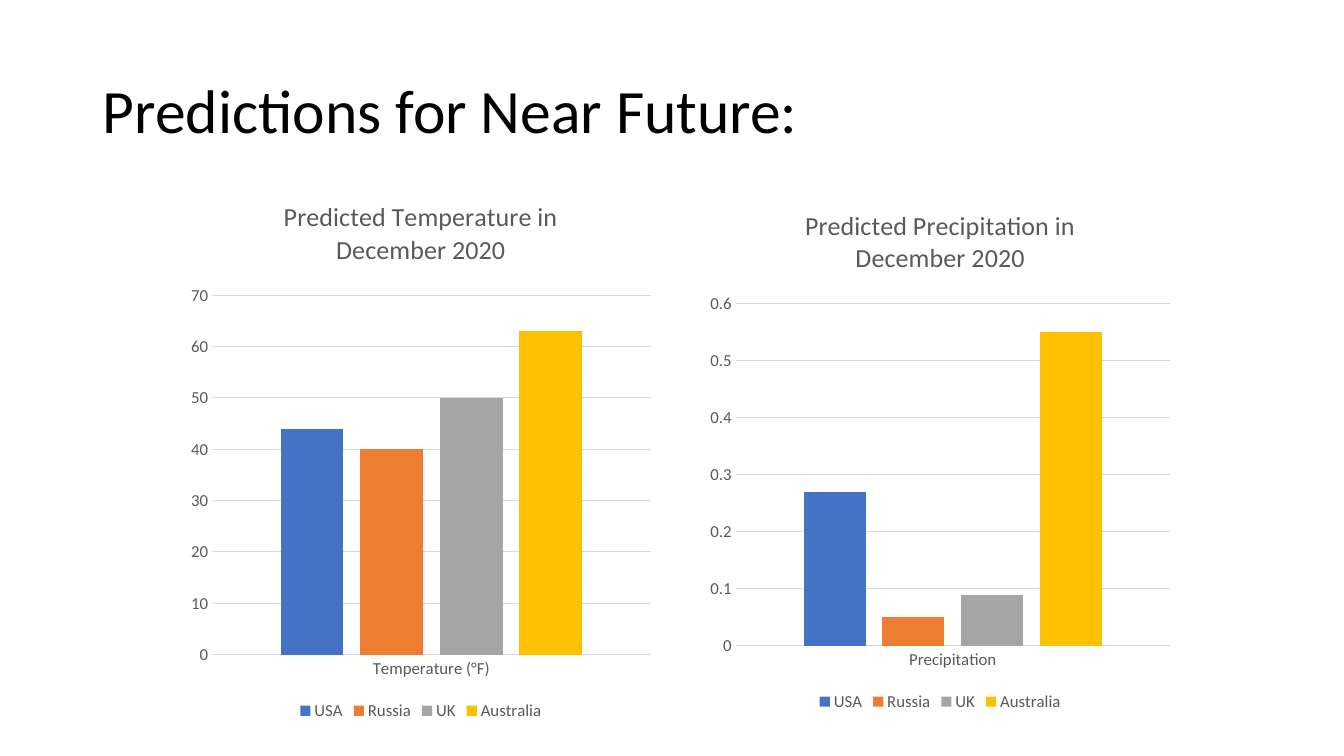
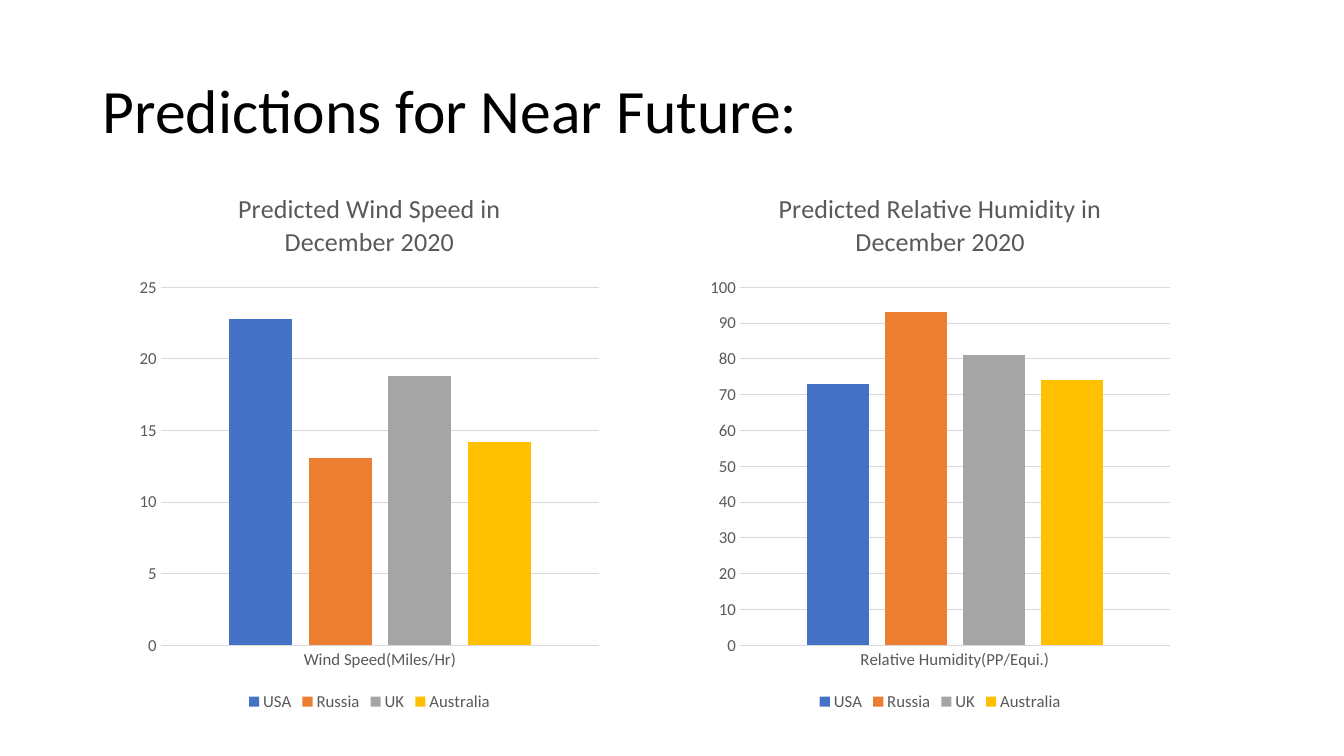
from pptx import Presentation
from pptx import util as u
from pptx.chart.data import CategoryChartData
from pptx.dml.color import RGBColor
from pptx.enum import chart as ch
from pptx.enum import text

FONT = "Calibri"
BLACK = RGBColor(0x00, 0x00, 0x00)
GREY = RGBColor(0x59, 0x59, 0x59)
RULE = RGBColor(0xD9, 0xD9, 0xD9)
COUNTRIES = {
    "USA": RGBColor(0x44, 0x72, 0xC4),
    "Russia": RGBColor(0xED, 0x7D, 0x31),
    "UK": RGBColor(0xA5, 0xA5, 0xA5),
    "Australia": RGBColor(0xFF, 0xC0, 0x00),
}
SLIDE_W, SLIDE_H = u.Inches(13.33), u.Inches(7.5)

# Boxes are left, top, width, height in percent of the slide.
TITLE_BOX = (6.9, 5.33, 86.27, 19.33)
CHART_W = 35.63

# Each chart: measure, category, box, values by country, axis maximum, axis step.
SLIDES = [
    [
        ("Temperature", "Temperature (°F)", (13.5, 23.47, CHART_W, 72.4),
         (44, 40, 50, 63), 70, 10),
        ("Precipitation", "Precipitation", (52.14, 24.67, CHART_W, 70),
         (0.27, 0.05, 0.09, 0.55), 0.6, 0.1),
    ],
    [
        ("Wind Speed", "Wind Speed(Miles/Hr)", (9.68, 22.4, CHART_W, 72.27),
         (22.8, 13.1, 18.8, 14.2), 25, 5),
        ("Relative Humidity", "Relative Humidity(PP/Equi.)", (52.14, 22.4, CHART_W, 72.27),
         (73, 93, 81, 74), 100, 10),
    ],
]


def place(box):
    """Turn a box in percent of the slide into lengths."""
    return [int(side * share / 100)
            for side, share in zip((SLIDE_W, SLIDE_H) * 2, box)]


def set_font(font, size, color):
    font.name, font.size, font.bold = FONT, u.Pt(size), False
    font.color.rgb = color


def set_rule(line):
    line.color.rgb, line.width = RULE, u.Pt(0.75)


def add_title(slide, words):
    title = slide.shapes.title
    title.left, title.top, title.width, title.height = place(TITLE_BOX)
    tf = title.text_frame
    tf.text = words
    tf.vertical_anchor = text.MSO_ANCHOR.MIDDLE
    p = tf.paragraphs[0]
    p.alignment, p.line_spacing = text.PP_ALIGN.LEFT, 0.9
    set_font(p.font, 44, BLACK)


def add_prediction(slide, measure, category, box, values, maximum, step):
    data = CategoryChartData()
    data.categories = [category]
    for country, value in zip(COUNTRIES, values):
        data.add_series(country, [value])
    chart = slide.shapes.add_chart(
        ch.XL_CHART_TYPE.COLUMN_CLUSTERED, *place(box), data).chart
    set_font(chart.font, 10, BLACK)

    chart.has_title = True
    tf = chart.chart_title.text_frame
    tf.text = f"Predicted {measure} in December 2020"
    set_font(tf.paragraphs[0].font, 18.6, GREY)
    chart.chart_title.include_in_layout = False

    chart.has_legend = True
    chart.legend.position = ch.XL_LEGEND_POSITION.BOTTOM
    chart.legend.include_in_layout = False
    set_font(chart.legend.font, 12, GREY)

    for axis in (chart.category_axis, chart.value_axis):
        axis.major_tick_mark = axis.minor_tick_mark = ch.XL_TICK_MARK.NONE
        set_font(axis.tick_labels.font, 12, GREY)
    set_rule(chart.category_axis.format.line)
    scale = chart.value_axis
    scale.minimum_scale, scale.maximum_scale, scale.major_unit = 0, maximum, step
    scale.format.line.fill.background()
    set_rule(scale.major_gridlines.format.line)

    plot = chart.plots[0]
    plot.gap_width, plot.overlap, plot.vary_by_categories = 219, -27, False
    for series, color in zip(plot.series, COUNTRIES.values()):
        series.format.fill.solid()
        series.format.fill.fore_color.rgb = color


def main():
    prs = Presentation()
    prs.slide_width, prs.slide_height = SLIDE_W, SLIDE_H
    title_only = prs.slide_layouts[5]
    for predictions in SLIDES:
        slide = prs.slides.add_slide(title_only)
        add_title(slide, "Predictions for Near Future:")
        for prediction in predictions:
            add_prediction(slide, *prediction)
    prs.save("out.pptx")


if __name__ == "__main__":
    main()
